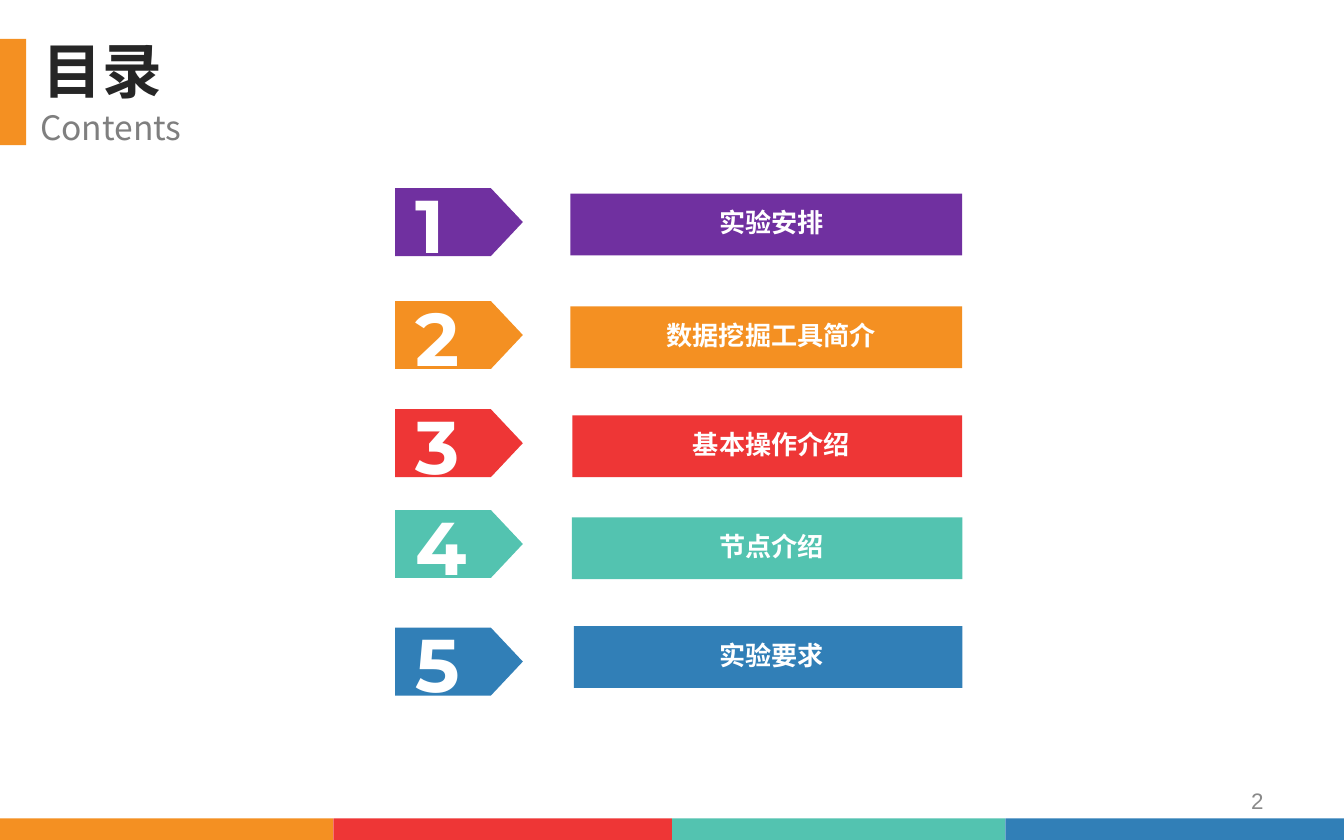
from dataclasses import dataclass
from typing import NamedTuple

from lxml.etree import SubElement
from pptx import Presentation
from pptx.dml.color import RGBColor
from pptx.enum.shapes import MSO_SHAPE as Preset
from pptx.enum.text import MSO_ANCHOR as Anchor, PP_ALIGN as Align
from pptx.oxml.ns import qn
from pptx.slide import Slide
from pptx.util import Inches, Pt

COLUMNS, ROWS = 100, 62.5
CELL = Inches(0.1)


@dataclass(frozen=True)
class Theme:
    purple: str = "7030A0"
    orange: str = "F49022"
    red: str = "EE3636"
    teal: str = "53C3B0"
    blue: str = "317FB7"
    white: str = "FFFFFF"
    ink: str = "262626"
    grey: str = "7F7F7F"
    pale: str = "898989"
    cjk: str = "Noto Sans CJK SC"
    numeral: str = "Montserrat"
    plain: str = "Arial"
    title: int = 32
    subtitle: int = 18
    number: int = 40
    label: int = 14
    footer: int = 12


THEME = Theme()


class Area(NamedTuple):
    """Left, top, width and height in grid cells."""
    column: float
    row: float
    columns: float
    rows: float

    def emu(self) -> list[int]:
        return [round(cells * CELL) for cells in self]


class Style(NamedTuple):
    face: str
    size: int
    color: str
    bold: bool = False
    align: Align = Align.LEFT


class Chapter(NamedTuple):
    name: str
    color: str
    arrow_row: float
    bar_row: float
    bar_column: float


CHAPTERS = (
    Chapter("实验安排", THEME.purple, 14, 14.4, 42.45),
    Chapter("数据挖掘工具简介", THEME.orange, 22.4, 22.8, 42.45),
    Chapter("基本操作介绍", THEME.red, 30.45, 30.9, 42.6),
    Chapter("节点介绍", THEME.teal, 37.95, 38.5, 42.55),
    Chapter("实验要求", THEME.blue, 46.7, 46.6, 42.7),
)
BAR_END = 71.6
NUMBER = Style(THEME.numeral, THEME.number, THEME.white, True)
LABEL = Style(THEME.cjk, THEME.label, THEME.white, True, Align.CENTER)


def add_block(slide: Slide, area: Area, color: str, preset: Preset = Preset.RECTANGLE):
    block = slide.shapes.add_shape(preset, *area.emu())
    block.shadow.inherit = False
    block.fill.solid()
    block.fill.fore_color.rgb = RGBColor.from_string(color)
    block.line.fill.background()
    return block


def add_text(slide: Slide, area: Area, words: str, style: Style,
             wrap: bool = False, anchor: Anchor = Anchor.TOP) -> None:
    frame = slide.shapes.add_textbox(*area.emu()).text_frame
    frame.word_wrap = wrap
    frame.vertical_anchor = anchor
    paragraph = frame.paragraphs[0]
    paragraph.text = words
    paragraph.alignment = style.align
    font = paragraph.font
    font.size, font.bold, font.name = Pt(style.size), style.bold, style.face
    font.color.rgb = RGBColor.from_string(style.color)
    properties = paragraph._p.pPr.find(qn("a:defRPr"))
    SubElement(properties, qn("a:ea"), typeface=style.face)


def add_heading(slide: Slide) -> None:
    add_block(slide, Area(0, 2.9, 1.95, 7.9), THEME.orange)
    add_text(slide, Area(2.2, 2, 12.7, 6.4), "目录",
             Style(THEME.cjk, THEME.title, THEME.ink, True))
    add_text(slide, Area(2, 7.5, 12.9, 4), "Contents",
             Style(THEME.cjk, THEME.subtitle, THEME.grey))


def add_chapter(slide: Slide, number: int, chapter: Chapter) -> None:
    arrow = add_block(slide, Area(29.4, chapter.arrow_row, 9.5, 5.05),
                      chapter.color, Preset.PENTAGON)
    arrow.adjustments[0] = 0.47
    add_text(slide, Area(29.95, chapter.arrow_row - 1.2, 5.7, 7.7), str(number), NUMBER)
    bar_width = BAR_END - chapter.bar_column
    add_block(slide, Area(chapter.bar_column, chapter.bar_row, bar_width, 4.6), chapter.color)
    add_text(slide, Area(47, chapter.bar_row + 0.5, 20.8, 3.4), chapter.name, LABEL, wrap=True)


def add_footer(slide: Slide) -> None:
    edges = (0, 24.8, 50, 74.8, COLUMNS)
    colors = (THEME.orange, THEME.red, THEME.teal, THEME.blue)
    for left, right, color in zip(edges, edges[1:], colors):
        add_block(slide, Area(left, ROWS - 1.6, right - left, 1.6), color)
    add_text(slide, Area(71.7, 57.9, 23.3, 3.3), "2",
             Style(THEME.plain, THEME.footer, THEME.pale, align=Align.RIGHT),
             wrap=True, anchor=Anchor.MIDDLE)


def main() -> None:
    deck = Presentation()
    deck.slide_width, deck.slide_height = round(COLUMNS * CELL), round(ROWS * CELL)
    slide = deck.slides.add_slide(deck.slide_layouts[6])
    add_heading(slide)
    for number, chapter in enumerate(CHAPTERS, start=1):
        add_chapter(slide, number, chapter)
    add_footer(slide)
    deck.save("out.pptx")


if __name__ == "__main__":
    main()
